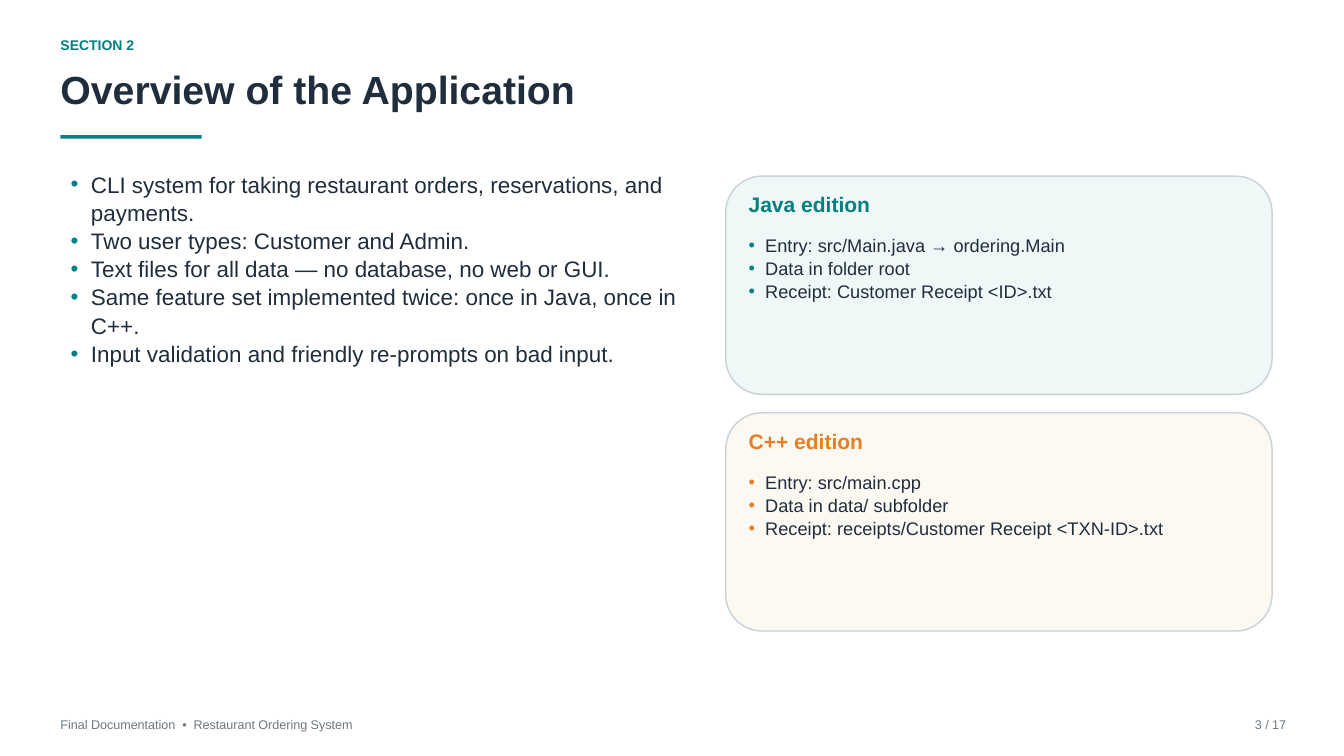
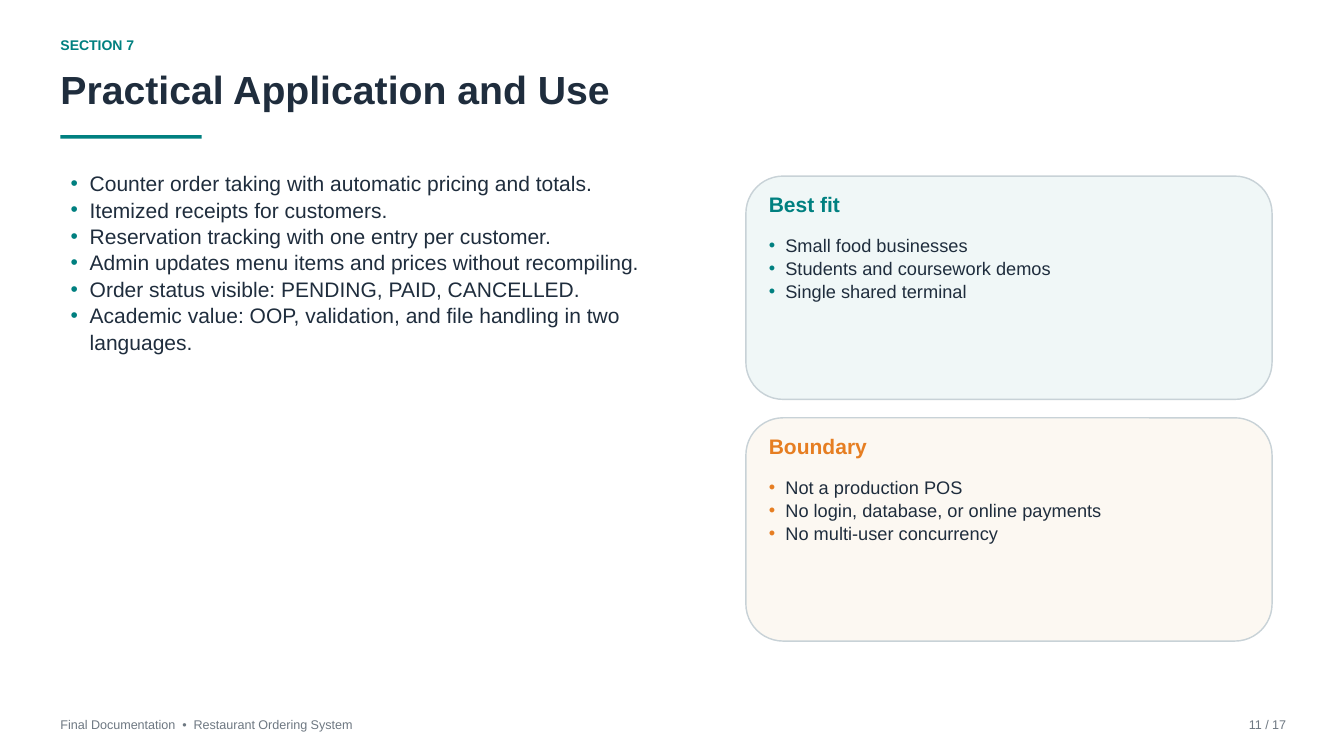
from lxml import etree
from pptx import Presentation
from pptx.dml.color import RGBColor
from pptx.enum.shapes import MSO_SHAPE
from pptx.enum.text import MSO_AUTO_SIZE, PP_ALIGN
from pptx.oxml.ns import qn
from pptx.util import Inches, Pt

RECTANGLE = MSO_SHAPE.RECTANGLE
ROUNDED = MSO_SHAPE.ROUNDED_RECTANGLE
LEFT, RIGHT = PP_ALIGN.LEFT, PP_ALIGN.RIGHT
GROW = MSO_AUTO_SIZE.SHAPE_TO_FIT_TEXT

TEAL = RGBColor(0x00, 0x80, 0x80)
ORANGE = RGBColor(0xE6, 0x7E, 0x22)
INK = RGBColor(0x1F, 0x2D, 0x3D)
GRAY = RGBColor(0x6E, 0x78, 0x82)
BORDER = RGBColor(0xC8, 0xD2, 0xD7)
MINT = RGBColor(0xF0, 0xF7, 0xF7)
CREAM = RGBColor(0xFC, 0xF8, 0xF2)

FONT = "Arial"
COLUMNS, ROWS = 100, 75
MARGIN = 4.5
BODY_LEFT, BODY_TOP = 5.25, 16.8
CARD_TOP, CARD_RIGHT = 17.47, 94.65
CARD_GAP = 1.83
CARD_INSET = 1.7
FOOTER_TOP = 71.13
PAGE_COUNT = 17
CARD_COLOURS = [(TEAL, MINT), (ORANGE, CREAM)]

PAGES = [
    {
        "number": 3,
        "section": "SECTION 2",
        "title": "Overview of the Application",
        "points": [
            "CLI system for taking restaurant orders, reservations, and payments.",
            "Two user types: Customer and Admin.",
            "Text files for all data — no database, no web or GUI.",
            "Same feature set implemented twice: once in Java, once in C++.",
            "Input validation and friendly re-prompts on bad input.",
        ],
        "point_size": 24,
        "card_left": 54,
        "card_height": 21.65,
        "cards": [
            ("Java edition", [
                "Entry: src/Main.java → ordering.Main",
                "Data in folder root",
                "Receipt: Customer Receipt <ID>.txt",
            ]),
            ("C++ edition", [
                "Entry: src/main.cpp",
                "Data in data/ subfolder",
                "Receipt: receipts/Customer Receipt <TXN-ID>.txt",
            ]),
        ],
    },
    {
        "number": 11,
        "section": "SECTION 7",
        "title": "Practical Application and Use",
        "points": [
            "Counter order taking with automatic pricing and totals.",
            "Itemized receipts for customers.",
            "Reservation tracking with one entry per customer.",
            "Admin updates menu items and prices without recompiling.",
            "Order status visible: PENDING, PAID, CANCELLED.",
            "Academic value: OOP, validation, and file handling in two languages.",
        ],
        "point_size": 22.5,
        "card_left": 55.5,
        "card_height": 22.15,
        "cards": [
            ("Best fit", [
                "Small food businesses",
                "Students and coursework demos",
                "Single shared terminal",
            ]),
            ("Boundary", [
                "Not a production POS",
                "No login, database, or online payments",
                "No multi-user concurrency",
            ]),
        ],
    },
]


class Deck:
    def __init__(self):
        self.show = Presentation()
        self.show.slide_width = Inches(20)
        self.show.slide_height = Inches(11.25)
        self.slide = None

    def new_slide(self):
        self.slide = self.show.slides.add_slide(self.show.slide_layouts[6])

    def place(self, left, top, width, height):
        column = self.show.slide_width / COLUMNS
        row = self.show.slide_height / ROWS
        return (round(left * column), round(top * row),
                round(width * column), round(height * row))

    def panel(self, kind, area, fill, border=None):
        panel = self.slide.shapes.add_shape(kind, *self.place(*area))
        panel.shadow.inherit = False
        panel.fill.solid()
        panel.fill.fore_color.rgb = fill
        if border is None:
            panel.line.fill.background()
        else:
            panel.line.color.rgb = border
            panel.line.width = Pt(1.5)

    def frame(self, area):
        frame = self.slide.shapes.add_textbox(*self.place(*area)).text_frame
        frame.word_wrap = True
        frame.auto_size = GROW
        frame.margin_left = frame.margin_right = 0
        frame.margin_top = frame.margin_bottom = 0
        return frame

    def add_words(self, paragraph, words, size, colour, bold, leading):
        paragraph.line_spacing = Pt(size * leading)
        run = paragraph.add_run()
        run.text = words
        run.font.name = FONT
        run.font.size = Pt(size)
        run.font.bold = bold
        run.font.color.rgb = colour

    def text(self, area, words, size, colour, bold=True, align=LEFT):
        paragraph = self.frame(area).paragraphs[0]
        paragraph.alignment = align
        self.add_words(paragraph, words, size, colour, bold, 1.2)

    def bullets(self, area, points, size, accent):
        frame = self.frame(area)
        for index, point in enumerate(points):
            paragraph = frame.add_paragraph() if index else frame.paragraphs[0]
            self.mark(paragraph, size, accent)
            self.add_words(paragraph, point, size, INK, False, 1.26)

    def mark(self, paragraph, size, accent):
        properties = paragraph._p.get_or_add_pPr()
        hang = Pt(size * 0.91)
        properties.set("marL", str(hang))
        properties.set("indent", str(-hang))
        colour = etree.SubElement(properties, qn("a:buClr"))
        etree.SubElement(colour, qn("a:srgbClr"), val=str(accent))
        etree.SubElement(properties, qn("a:buFont"), typeface=FONT)
        etree.SubElement(properties, qn("a:buChar"), char="•")

    def header(self, section, title):
        self.text((MARGIN, 3.67, 60, 2.67), section, 15, TEAL)
        self.text((MARGIN, 6.47, 90.8, 6.33), title, 42, INK)
        self.panel(RECTANGLE, (MARGIN, 13.4, 10.5, 0.35), TEAL)

    def card(self, left, top, height, heading, points, accent, fill):
        width = CARD_RIGHT - left
        inner_left, inner_width = left + CARD_INSET, width - 2 * CARD_INSET
        self.panel(ROUNDED, (left, top, width, height), fill, BORDER)
        self.text((inner_left, top + 1.55, inner_width, 3.33), heading, 22.5, accent)
        self.bullets((inner_left, top + 5.67, inner_width, height - 6.93),
                     points, 19.5, accent)

    def footer(self, number):
        self.text((MARGIN, FOOTER_TOP, 67.5, 2.33),
                  "Final Documentation  •  Restaurant Ordering System",
                  13.5, GRAY, bold=False)
        self.text((89.3, FOOTER_TOP, 6.4, 2.33), f"{number} / {PAGE_COUNT}",
                  13.5, GRAY, bold=False, align=RIGHT)

    def page(self, page):
        self.new_slide()
        self.header(page["section"], page["title"])
        left, height = page["card_left"], page["card_height"]
        self.bullets((BODY_LEFT, BODY_TOP, left - BODY_LEFT - 2.2, 49.25),
                     page["points"], page["point_size"], TEAL)
        for index, (heading, points) in enumerate(page["cards"]):
            top = CARD_TOP + index * (height + CARD_GAP)
            self.card(left, top, height, heading, points, *CARD_COLOURS[index])
        self.footer(page["number"])


def main():
    deck = Deck()
    for page in PAGES:
        deck.page(page)
    deck.show.save("out.pptx")


if __name__ == "__main__":
    main()
